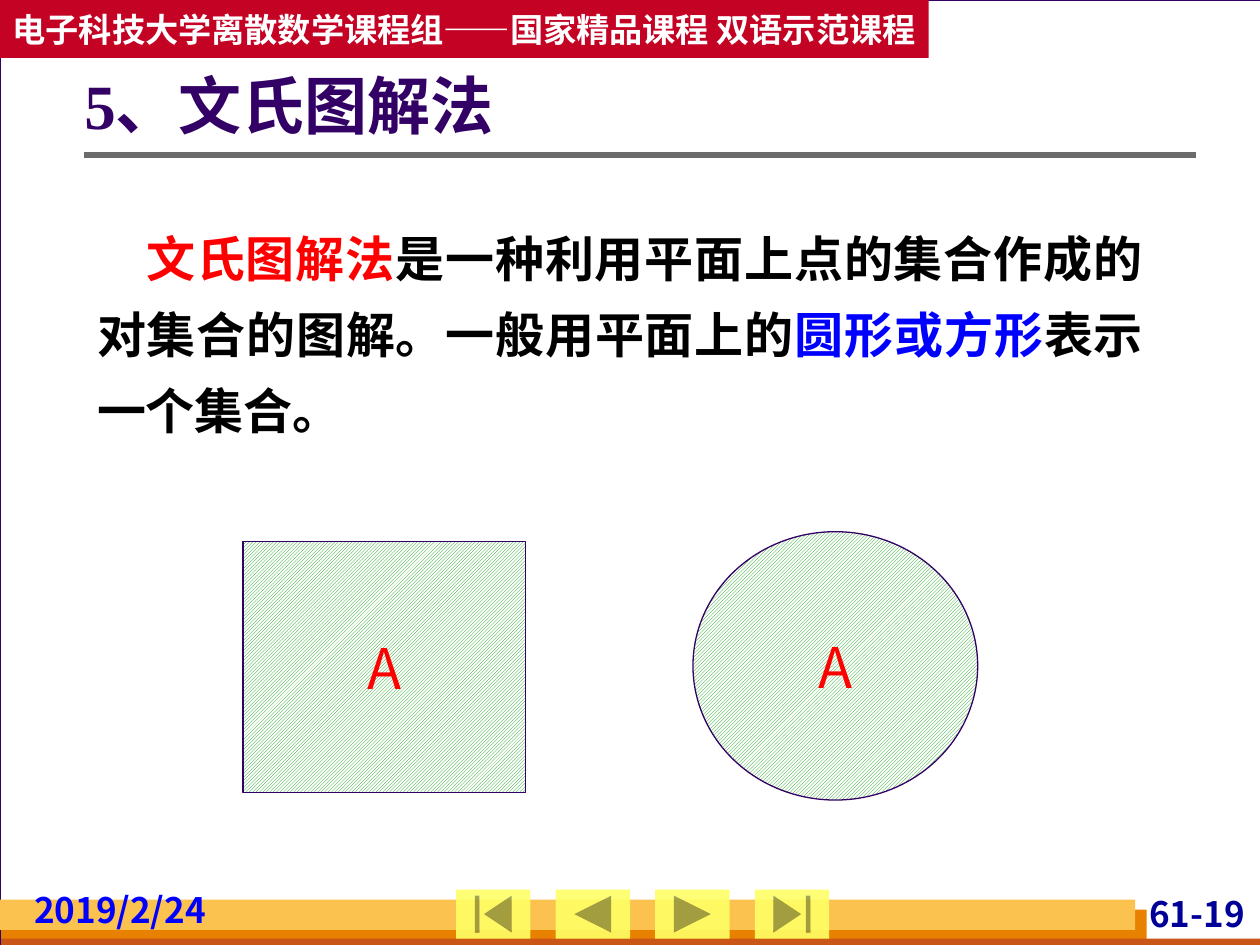
from lxml.etree import SubElement
from pptx import Presentation
from pptx.dml.color import RGBColor
from pptx.enum.dml import MSO_PATTERN
from pptx.enum.shapes import MSO_CONNECTOR, MSO_SHAPE as SHAPE
from pptx.enum.text import MSO_ANCHOR as ANCHOR, MSO_AUTO_SIZE, PP_ALIGN as ALIGN
from pptx.oxml.ns import qn
from pptx.util import Inches, Pt

SANS, SERIF = "Noto Sans CJK SC", "Times New Roman"
PURPLE, RED, BLUE, BLACK = "330066", "FF0000", "0000FF", "000000"

TITLE = "5、文氏图解法"
BODY = [
    ("文氏图解法", RED),
    ("是一种利用平面上点的集合作成的对集合的图解。一般用平面上的", BLACK),
    ("圆形或方形", BLUE),
    ("表示一个集合。", BLACK),
]
BANNER = "电子科技大学离散数学课程组——国家精品课程 双语示范课程"
DATE, PAGE_NUMBER = "2019/2/24", "61-19"

FOOTER_BARS = [
    ((0.01, 7.22, 9.09, 0.28), "E88000"),
    ((0.01, 7.45, 10, 0.08), "C95616"),
    ((0, 7.14, 9.01, 0.24), "FCC24F"),
]
BUTTONS = [
    SHAPE.ACTION_BUTTON_BEGINNING,
    SHAPE.ACTION_BUTTON_BACK_OR_PREVIOUS,
    SHAPE.ACTION_BUTTON_FORWARD_OR_NEXT,
    SHAPE.ACTION_BUTTON_END,
]
BUTTON_LEFT, BUTTON_STEP = 3.62, 0.79
VENN_SETS = [
    (SHAPE.RECTANGLE, (1.93, 4.3, 2.24, 1.99)),
    (SHAPE.OVAL, (5.5, 4.22, 2.26, 2.13)),
]


def rgb(value):
    return RGBColor.from_string(value)


def write(shape, runs, size, color=BLACK, font=SANS, bold=True, align=ALIGN.LEFT,
          anchor=ANCHOR.TOP, insets=(0.1, 0.05, 0.1, 0.05), wrap=True, spacing=1):
    """Fill a shape with one paragraph; runs is a string or (text, colour) pairs."""
    frame = shape.text_frame
    frame.auto_size = MSO_AUTO_SIZE.NONE
    frame.word_wrap = wrap
    frame.vertical_anchor = anchor
    (frame.margin_left, frame.margin_top,
     frame.margin_right, frame.margin_bottom) = map(Inches, insets)
    para = frame.paragraphs[0]
    para.alignment = align
    para.line_spacing = spacing
    para.space_before = Pt(0)
    for text, run_color in [(runs, color)] if isinstance(runs, str) else runs:
        span = para.add_run()
        span.text = text
        span.font.size = Pt(size)
        span.font.bold = bold
        span.font.color.rgb = rgb(run_color)
        span.font.name = font
        SubElement(span._r.get_or_add_rPr(), qn("a:ea"), typeface=SANS)
    return para


def add_shape(page, kind, place, fill=None, line=None):
    shape = page.shapes.add_shape(kind, *map(Inches, place))
    shape.shadow.inherit = False
    if fill:
        shape.fill.solid()
        shape.fill.fore_color.rgb = rgb(fill)
    if line:
        shape.line.color.rgb = rgb(line)
        shape.line.width = Pt(0.75)
    else:
        shape.line.fill.background()
    return shape


def add_text(page, place, text, **style):
    box = page.shapes.add_textbox(*map(Inches, place))
    write(box, text, insets=(0.04, 0, 0.04, 0), **style)


def move(shape, place):
    shape.left, shape.top, shape.width, shape.height = map(Inches, place)


def bring_to_front(shape):
    shape._element.getparent().append(shape._element)


def add_frame(page):
    """Draw the backdrop, footer, title rule, navigation buttons and banner."""
    add_shape(page, SHAPE.RECTANGLE, (0, 0, 10.01, 7.5), "FFFFFF", PURPLE)
    for place, color in FOOTER_BARS:
        add_shape(page, SHAPE.RECTANGLE, place, color)
    add_text(page, (8.7, 7.08, 1.22, 0.33), PAGE_NUMBER,
             size=20, color="000099", align=ALIGN.RIGHT)

    rule = page.shapes.add_connector(
        MSO_CONNECTOR.STRAIGHT, *map(Inches, (0.67, 1.23, 9.49, 1.23)))
    rule.line.color.rgb = rgb("6B6B6B")
    rule.line.width = Pt(3)
    SubElement(rule._element.spPr, qn("a:effectLst"))

    for index, kind in enumerate(BUTTONS):
        place = (BUTTON_LEFT + index * BUTTON_STEP, 7.06, 0.59, 0.39)
        button = add_shape(page, kind, place, "FFFF66")
        fill_color = button._element.spPr.find(qn("a:solidFill"))[0]
        SubElement(fill_color, qn("a:alpha"), val="90000")

    banner = add_shape(page, SHAPE.RECTANGLE, (0, 0, 7.37, 0.46), "C30224")
    write(banner, BANNER, 19, color="FFFFFF", align=ALIGN.CENTER,
          anchor=ANCHOR.MIDDLE, insets=(0.04, 0.05, 0.04, 0.05), wrap=False)
    add_text(page, (0.23, 7.05, 1.65, 0.33), DATE, size=20, color=BLUE)


def add_content(page):
    title, body = page.placeholders
    move(title, (0.67, 0.36, 8.82, 1.01))
    write(title, TITLE, 36, color=PURPLE, font=SERIF, anchor=ANCHOR.MIDDLE,
          insets=(0, 0.05, 0.1, 0.05), spacing=0.9)
    bring_to_front(title)

    move(body, (0.67, 1.62, 8.5, 1.92))
    para = write(body, BODY, 28, align=ALIGN.JUSTIFY, spacing=1.3)
    properties = para._p.get_or_add_pPr()
    properties.set("marL", "0")
    properties.set("indent", str(Inches(0.39)))
    SubElement(properties, qn("a:buNone"))
    bring_to_front(body)

    for kind, place in VENN_SETS:
        venn = add_shape(page, kind, place, line=PURPLE)
        venn.fill.patterned()
        venn.fill.pattern = MSO_PATTERN.DARK_UPWARD_DIAGONAL
        venn.fill.fore_color.rgb = rgb("009900")
        venn.fill.back_color.rgb = rgb("FFFFFF")
        write(venn, "A", 32, color=RED, bold=False, align=ALIGN.CENTER,
              anchor=ANCHOR.MIDDLE, wrap=False)


def main():
    deck = Presentation()
    deck.slide_width, deck.slide_height = Inches(10), Inches(7.5)
    page = deck.slides.add_slide(deck.slide_layouts[1])
    page.background.fill.solid()
    page.background.fill.fore_color.rgb = rgb("D8DADA")
    add_frame(page)
    add_content(page)
    deck.save("out.pptx")


if __name__ == "__main__":
    main()
